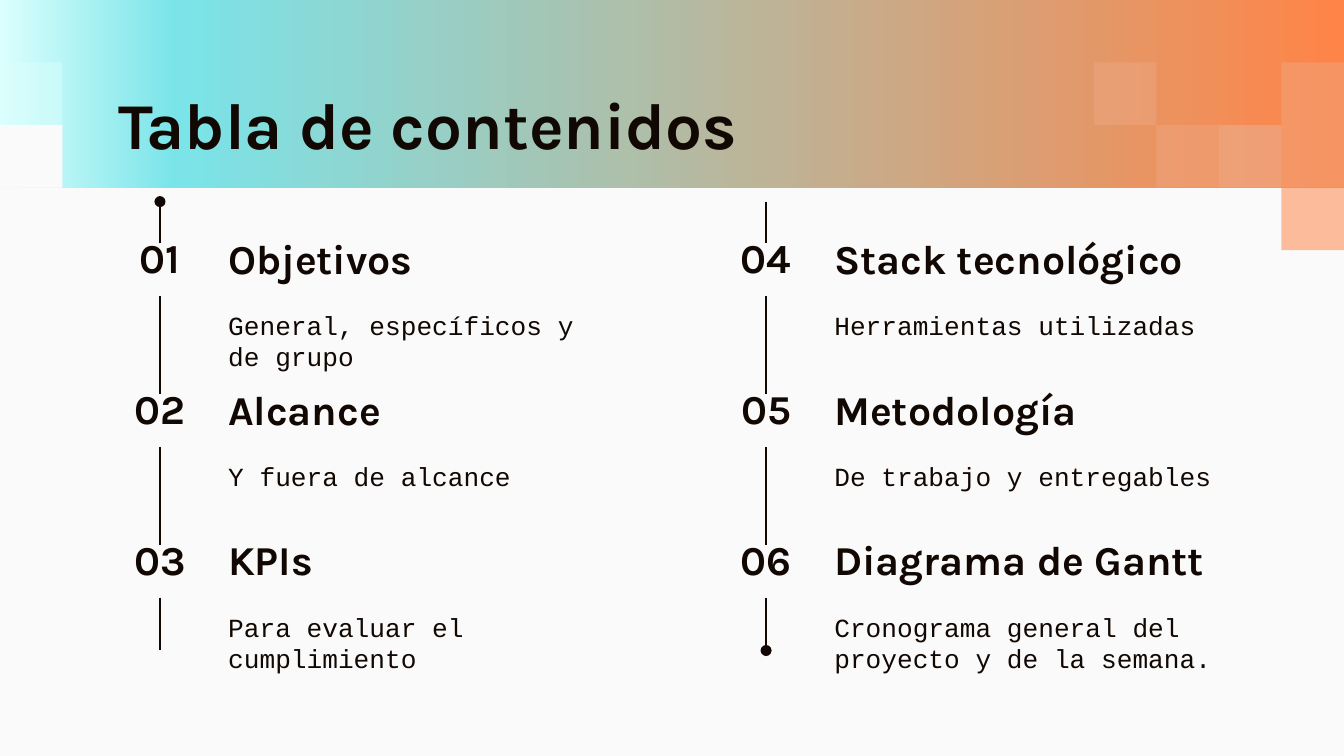
from copy import deepcopy

from pptx import Presentation
from pptx.dml.color import RGBColor
from pptx.enum.shapes import MSO_CONNECTOR, MSO_SHAPE
from pptx.enum.text import MSO_ANCHOR, PP_ALIGN
from pptx.oxml.ns import qn
from pptx.oxml.xmlchemy import OxmlElement
from pptx.util import Pt

INK, PAPER = "120803", "FAFAFA"
MINT, TEAL, ORANGE, PEACH = "DBFFFD", "7AE4E9", "FF8447", "EDA986"
HEADING_FONT, BODY_FONT = "Karla", "Courier New"

TILE = 33.5
COLUMN_LEFT, COLUMN_STEP = 56.2, 324.7
ROW_TOP, ROW_STEP, ROW_HEIGHT = 130.3, 80.8, 28.3
NUMBER_WIDTH, TEXT_WIDTH, BODY_HEIGHT = 59, 224, 44
LINE_TOP, LINE_BOTTOM = 108, 348.5

TOPICS = [
    [("Objetivos", "General, específicos y de grupo"),
     ("Alcance", "Y fuera de alcance"),
     ("KPIs", "Para evaluar el cumplimiento")],
    [("Stack tecnológico", "Herramientas utilizadas"),
     ("Metodología", "De trabajo y entregables"),
     ("Diagrama de Gantt", "Cronograma general del proyecto y de la semana.")],
]

# Tiles on the header grid: column, row, width, height, colour, opacity %
RIGHT = 720 / TILE
TILES = [
    (RIGHT - 3, 2, 3, 1, PEACH, 45),
    (RIGHT - 1, 1, 1, 1, PEACH, 45),
    (RIGHT - 2, 2, 1, 1, PEACH, 45),
    (RIGHT - 4, 1, 1, 1, PEACH, 45),
    (0, 1, 1, 2, MINT, 47),
    (RIGHT - 1, 3, 1, 1, ORANGE, 52),
    (0, 2, 1, 1, PAPER, 100),
]


def color(value):
    return RGBColor.from_string(value)


def add_rectangle(slide, left, top, width, height):
    shape = slide.shapes.add_shape(
        MSO_SHAPE.RECTANGLE, Pt(left), Pt(top), Pt(width), Pt(height))
    shape.shadow.inherit = False
    shape.line.fill.background()
    return shape


def add_header_band(slide):
    shape = add_rectangle(slide, 0, -6, 720, 3 * TILE + 6)
    shape.fill.gradient()
    shape.fill.gradient_angle = 0
    stop_list = shape._element.spPr.find(qn("a:gradFill")).find(qn("a:gsLst"))
    stop_list.append(deepcopy(stop_list[0]))
    stops = [(0, MINT), (0.13, TEAL), (1, ORANGE)]
    for stop, (position, value) in zip(shape.fill.gradient_stops, stops):
        stop.position = position
        stop.color.rgb = color(value)


def add_tile(slide, column, row, width, height, value, opacity):
    shape = add_rectangle(slide, column * TILE, row * TILE,
                          width * TILE, height * TILE)
    shape.fill.solid()
    shape.fill.fore_color.rgb = color(value)
    if opacity < 100:
        alpha = OxmlElement("a:alpha")
        alpha.set("val", str(opacity * 1000))
        shape._element.spPr.find(qn("a:solidFill"))[0].append(alpha)


def add_text(slide, box, text, size, font=HEADING_FONT, anchor=MSO_ANCHOR.TOP,
             align=PP_ALIGN.LEFT, spacing=1.0):
    shape = slide.shapes.add_textbox(*[Pt(length) for length in box])
    frame = shape.text_frame
    frame.word_wrap = True
    frame.vertical_anchor = anchor
    frame.margin_left = frame.margin_right = Pt(7.2)
    frame.margin_top = frame.margin_bottom = Pt(7.2)
    paragraph = frame.paragraphs[0]
    paragraph.text = text
    paragraph.alignment = align
    paragraph.line_spacing = spacing
    paragraph.font.name = font
    paragraph.font.size = Pt(size)
    paragraph.font.bold = font == HEADING_FONT
    paragraph.font.color.rgb = color(INK)
    return shape


def add_line(slide, x, top, bottom, above=None, below=None, dot=None):
    connector = slide.shapes.add_connector(
        MSO_CONNECTOR.STRAIGHT, Pt(x), Pt(top), Pt(x), Pt(bottom))
    if above is not None:
        connector.begin_connect(above, 2)
    if below is not None:
        connector.end_connect(below, 0)
    connector.line.color.rgb = color(INK)
    connector.line.width = Pt(0.75)
    if dot:
        end = OxmlElement(dot)
        end.set("type", "oval")
        connector.line._get_or_add_ln().append(end)
    connector._element.spPr.append(OxmlElement("a:effectLst"))


def add_topic(slide, left, top, number, heading, body):
    text_left = left + NUMBER_WIDTH
    number_box = add_text(
        slide, (left, top, NUMBER_WIDTH, ROW_HEIGHT), f"{number:02d}", 22,
        anchor=MSO_ANCHOR.BOTTOM, align=PP_ALIGN.CENTER, spacing=0.9)
    add_text(slide, (text_left, top, TEXT_WIDTH, ROW_HEIGHT), heading, 22,
             anchor=MSO_ANCHOR.BOTTOM)
    add_text(slide, (text_left, top + ROW_HEIGHT, TEXT_WIDTH, BODY_HEIGHT),
             body, 14, font=BODY_FONT)
    return number_box


def add_column(slide, index, topics):
    left = COLUMN_LEFT + index * COLUMN_STEP
    tops = [ROW_TOP + row * ROW_STEP for row in range(len(topics))]
    first = index * len(topics) + 1
    numbers = [add_topic(slide, left, top, first + row, *topic)
               for row, (top, topic) in enumerate(zip(tops, topics))]

    # Timeline: dots mark its start in the first column and end in the last
    x = left + NUMBER_WIDTH / 2
    starts = [LINE_TOP] + [top + ROW_HEIGHT for top in tops]
    ends = tops + [LINE_BOTTOM]
    dots = [None] * len(starts)
    if index == 0:
        dots[0] = "a:headEnd"
    if index == len(TOPICS) - 1:
        dots[-1] = "a:tailEnd"
    for segment in zip(starts, ends, [None] + numbers, numbers + [None], dots):
        add_line(slide, x, *segment)


def main():
    presentation = Presentation()
    presentation.slide_width, presentation.slide_height = Pt(720), Pt(405)
    slide = presentation.slides.add_slide(presentation.slide_layouts[6])
    slide.background.fill.solid()
    slide.background.fill.fore_color.rgb = color(PAPER)

    # Header
    add_header_band(slide)
    for tile in TILES:
        add_tile(slide, *tile)
    add_text(slide, (56.2, 42.5, 607.6, 58), "Tabla de contenidos", 35,
             spacing=0.9)

    # Contents
    for index, topics in enumerate(TOPICS):
        add_column(slide, index, topics)

    presentation.save("out.pptx")


if __name__ == "__main__":
    main()
